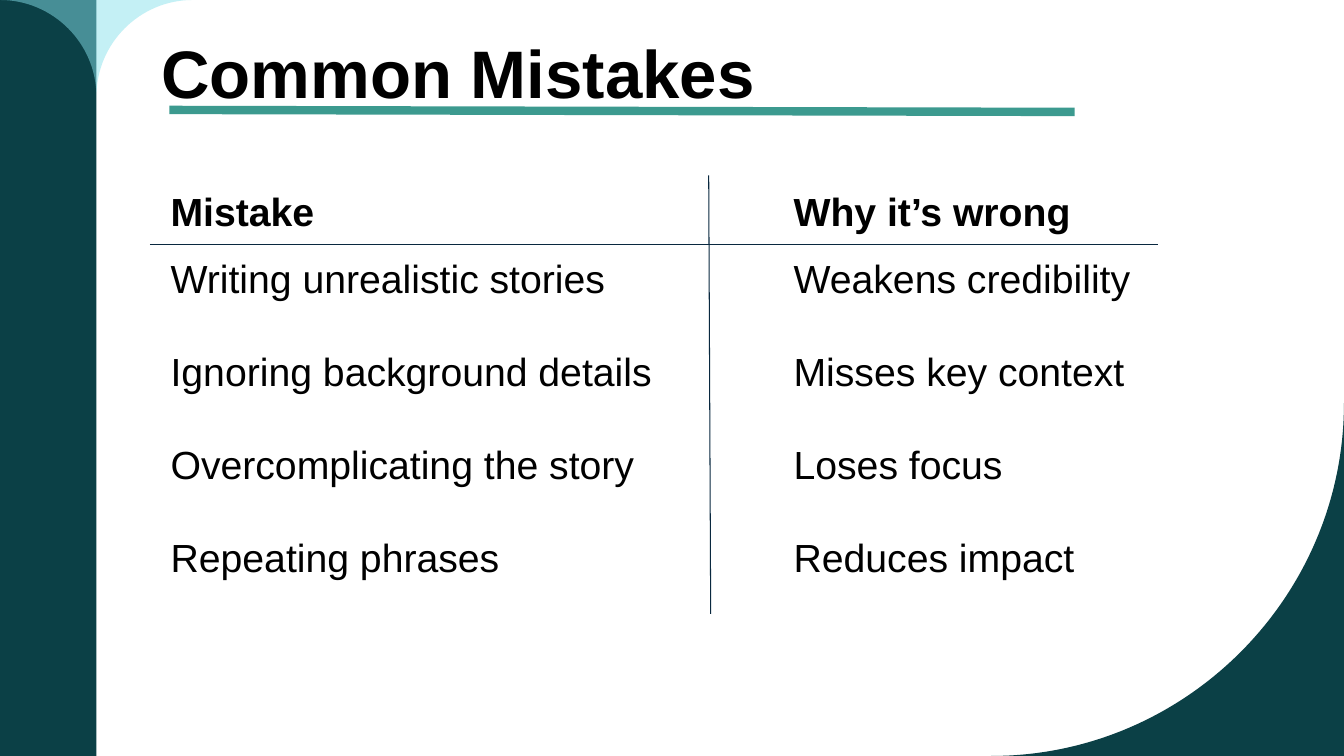
from lxml import etree
from pptx import Presentation
from pptx.dml.color import RGBColor
from pptx.enum.shapes import MSO_CONNECTOR, MSO_SHAPE
from pptx.enum.text import MSO_ANCHOR
from pptx.oxml.ns import qn
from pptx.util import Cm, Pt

STRAIGHT = MSO_CONNECTOR.STRAIGHT
RECT = MSO_SHAPE.RECTANGLE
MIDDLE = MSO_ANCHOR.MIDDLE
TOP = MSO_ANCHOR.TOP

TITLE = "Common Mistakes"
ROWS = [
    ("Mistake", "Why it’s wrong"),
    ("Writing unrealistic stories", "Weakens credibility"),
    ("Ignoring background details", "Misses key context"),
    ("Overcomplicating the story", "Loses focus"),
    ("Repeating phrases", "Reduces impact"),
]

THEME = {
    "font": "Arial", "title": 48, "body": 28,
    "ink": "000000", "dark": "0B4046", "light": "87E1EB",
    "teal": "3C9A8F", "navy": "09283F",
}

# Lengths in centimetres
WIDE, HIGH = 33.87, 19.05
BAND = 2.43
CURVE = 8.89
BEND = 0.55  # pull of a quarter circle's handles
TABLE = (4.05, 4.39, 26.83, 11.15)
COLS = (15.7, 11.13)
HEAD, ROW = 1.45, 2.34
PAD = 0.25
RULES = [
    ((4.27, 2.77), (27.08, 2.82), "teal", 6),
    ((17.86, 4.42), (17.91, 15.47), "navy", 0.75),
    ((3.78, 6.15), (29.18, 6.15), "navy", 0.75),
]


def color(name):
    return RGBColor.from_string(THEME[name])


def paint(shape, name):
    shape.shadow.inherit = False
    shape.fill.solid()
    shape.fill.fore_color.rgb = color(name)
    shape.line.fill.background()


def arc(start, knee, end):
    """Handles and end of a quarter circle that rounds off the knee."""
    pulls = [tuple(a + (k - a) * BEND for a, k in zip(tip, knee))
             for tip in (start, end)]
    return pulls + [end]


def outline(slide, start, arcs, rest, name):
    """Draw a closed shape: the arcs first, then straight sides."""
    points = [p for part in arcs for p in part] + rest
    spots = [(Cm(x), Cm(y)) for x, y in points]
    form = slide.shapes.build_freeform(Cm(start[0]), Cm(start[1]), scale=1.0)
    form.add_line_segments(spots, close=True)
    shape = form.convert_to_shape()
    sides = list(shape._element.iter(qn("a:lnTo")))
    for i in range(0, 3 * len(arcs), 3):
        curve = etree.Element(qn("a:cubicBezTo"))
        sides[i].addprevious(curve)
        for side in sides[i:i + 3]:
            curve.append(side[0])
            side.getparent().remove(side)
    paint(shape, name)
    return shape


def write(frame, text, size, bold):
    para = frame.paragraphs[0]
    run = para.add_run()
    run.text = text
    run.font.name = THEME["font"]
    run.font.size = Pt(THEME[size])
    run.font.bold = bold
    run.font.color.rgb = color("ink")
    if bold:
        para.line_spacing = 1.15
    return para


def add_frame(slide):
    """Draw the side band, the flared top and the round corner."""
    side = slide.shapes.add_shape(RECT, 0, 0, Cm(BAND), Cm(HIGH))
    paint(side, "dark")
    right, tip, left = (2 * BAND, 0), (BAND, BAND), (0, 0)
    knee = (BAND, 0)
    arcs = [arc(right, knee, tip), arc(tip, knee, left)]
    top = outline(slide, right, arcs, [], "light")
    tint = top.fill._xPr.find(qn("a:solidFill"))[0]
    etree.SubElement(tint, qn("a:alpha"), val="49000")
    start, end = (WIDE, HIGH - CURVE), (WIDE - CURVE, HIGH)
    edge = (WIDE, HIGH)
    outline(slide, start, [arc(start, edge, end)], [edge], "dark")


def add_title(slide):
    box = slide.shapes.add_textbox(Cm(2.41), Cm(0.51), Cm(26.47), Cm(2.31))
    frame = box.text_frame
    frame.word_wrap = True
    frame.vertical_anchor = MIDDLE
    frame.margin_left = Cm(1.66)
    para = write(frame, TITLE, "title", True)
    para.space_before = Pt(14)
    para.space_after = Pt(4)


def add_grid(slide):
    place = map(Cm, TABLE)
    table = slide.shapes.add_table(len(ROWS), len(COLS), *place).table
    table.first_row = table.horz_banding = False
    for col, width in zip(table.columns, COLS):
        col.width = Cm(width)
    for i, texts in enumerate(ROWS):
        table.rows[i].height = Cm(ROW if i else HEAD)
        for j, text in enumerate(texts):
            cell = table.cell(i, j)
            cell.fill.background()
            cell.vertical_anchor = TOP
            cell.margin_left = cell.margin_right = Cm(PAD)
            cell.margin_top = cell.margin_bottom = Cm(PAD)
            write(cell.text_frame, text, "body", i == 0)


def add_rule(slide, start, end, name, width):
    spots = [Cm(n) for n in start + end]
    line = slide.shapes.add_connector(STRAIGHT, *spots)
    line.line.color.rgb = color(name)
    line.line.width = Pt(width)
    etree.SubElement(line._element.spPr, qn("a:effectLst"))


def main():
    deck = Presentation()
    deck.slide_width, deck.slide_height = Cm(WIDE), Cm(HIGH)
    slide = deck.slides.add_slide(deck.slide_layouts[6])
    add_frame(slide)
    add_title(slide)
    add_rule(slide, *RULES[0])
    add_grid(slide)
    for rule in RULES[1:]:
        add_rule(slide, *rule)
    deck.save("out.pptx")


if __name__ == "__main__":
    main()
